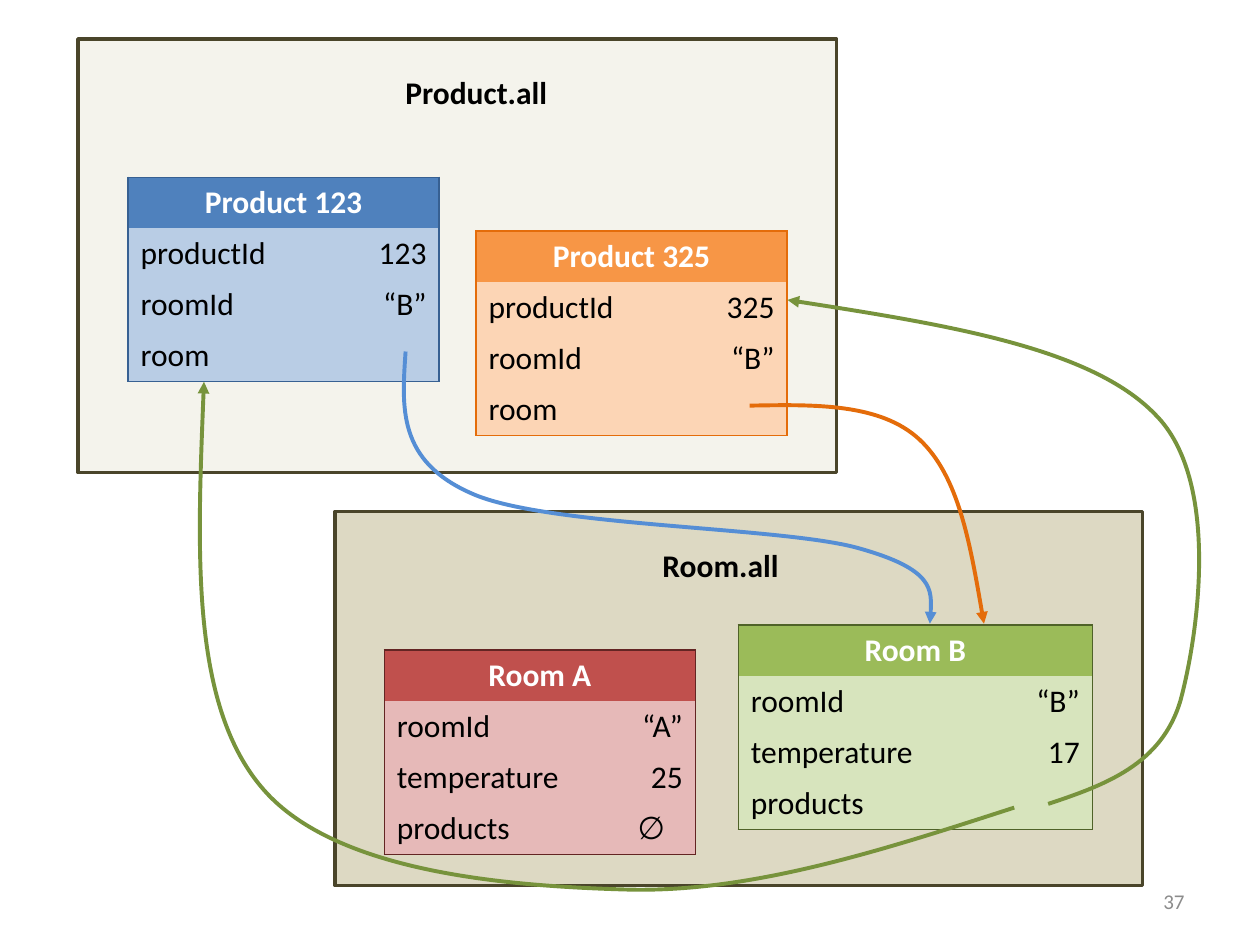
import pptx
import pptx.util
import pptx.dml.color
import pptx.enum.text
import pptx.enum.shapes
import pptx.oxml
import pptx.oxml.ns

Pt = pptx.util.Pt
RGB = pptx.dml.color.RGBColor
Align = pptx.enum.text.PP_ALIGN
Anchor = pptx.enum.text.MSO_ANCHOR
qn = pptx.oxml.ns.qn

BLACK = RGB(0x00, 0x00, 0x00)
WHITE = RGB(0xFF, 0xFF, 0xFF)
GRAY = RGB(0x8C, 0x8C, 0x8C)
EDGE = RGB(0x4A, 0x45, 0x2A)
CREAM = RGB(0xF4, 0xF3, 0xEC)
TAN = RGB(0xDD, 0xD9, 0xC3)
ORANGE = RGB(0xE4, 0x6C, 0x0A)
AZURE = RGB(0x55, 0x8E, 0xD5)
OLIVE = RGB(0x77, 0x93, 0x3C)

# Header fill, body fill, border
RED_SET = RGB(0xC0, 0x50, 0x4D), RGB(0xE6, 0xB9, 0xB8), RGB(0x63, 0x25, 0x23)
GREEN_SET = RGB(0x9B, 0xBB, 0x59), RGB(0xD7, 0xE4, 0xBD), RGB(0x4F, 0x62, 0x28)
BLUE_SET = RGB(0x4F, 0x81, 0xBD), RGB(0xB9, 0xCD, 0xE5), RGB(0x37, 0x60, 0x92)
ORANGE_SET = RGB(0xF7, 0x96, 0x46), RGB(0xFC, 0xD5, 0xB5), ORANGE

FONT = "Calibri"
ROW = 29.2
PLAIN = "{2D5ABB26-0587-4C30-8999-92F81FD0307C}"  # no style, no grid

# Each group: frame box, fill, title, title box, then its objects
# Each object: name, left, top, column widths, colours, fields
GROUPS = [
    ((191.5, 292.3, 461.5, 213.8), TAN, "Room.all", (371.5, 308.2, 81.4, 29),
     [("Room A", 219.6, 371.5, (127.4, 50.4), RED_SET,
       [("roomId", "“A”"), ("temperature", "25"), ("products", "∅")]),
      ("Room B", 421.9, 357.1, (118.1, 84.2), GREEN_SET,
       [("roomId", "“B”"), ("temperature", "17"), ("products", "")])]),
    ((44.6, 22.3, 433.4, 247.7), CREAM, "Product.all", (224.6, 38.2, 95.8, 29),
     [("Product 123", 73.2, 101.3, (127.4, 50.4), BLUE_SET,
       [("productId", "123"), ("roomId", "“B”"), ("room", "")]),
      ("Product 325", 272, 132, (127.4, 50.4), ORANGE_SET,
       [("productId", "325"), ("roomId", "“B”"), ("room", "")])]),
]

# Curved arrows: start, then three Bezier points per piece
CURVES = [
    (ORANGE, [(428.4, 231.8), (465.8, 231.1), (503.3, 230.4), (525.6, 251.3),
              (547.9, 272.2), (555.1, 314.6), (562.3, 356.4)]),
    (AZURE, [(231.8, 200.9), (229.7, 232.6), (226.8, 263.5), (270, 282.2),
             (312.5, 301), (446.4, 301), (490.3, 313.2),
             (534.2, 325.4), (532.8, 341.3), (531.4, 356.4)]),
    (OLIVE, [(579.6, 461.5), (504, 486), (428.4, 510.5), (357.1, 508.3),
             (285.1, 506.2), (188.6, 497.5), (149, 449.3),
             (108.7, 401), (113, 309.6), (116.6, 218.2)]),
    (OLIVE, [(599, 459.4), (631.4, 448.6), (663.8, 437), (674.6, 400.3),
             (684.7, 362.9), (697.7, 274.3), (660.2, 236.9),
             (623.5, 198.7), (537.1, 185), (450, 171.4)]),
]

deck = pptx.Presentation()
deck.slide_width, deck.slide_height = Pt(720), Pt(540)
slide = deck.slides.add_slide(deck.slide_layouts[6])
shapes = slide.shapes


def write(frame, text, size, color, bold=False, align=Align.LEFT):
    para = frame.paragraphs[0]
    para.alignment = align
    para.font.size = Pt(size)
    if text:
        run = para.add_run()
        run.text = text
        font = run.font
        font.name, font.size, font.bold = FONT, Pt(size), bold
        font.color.rgb = color


def label(box, text, size, color, **style):
    frame = shapes.add_textbox(*map(Pt, box)).text_frame
    write(frame, text, size, color, **style)
    return frame


def panel(box, fill):
    rect = shapes.add_shape(pptx.enum.shapes.MSO_SHAPE.RECTANGLE, *map(Pt, box))
    rect.shadow.inherit = False
    rect.fill.solid()
    rect.fill.fore_color.rgb = fill
    rect.line.color.rgb = EDGE
    rect.line.width = Pt(2)


def border(cell, sides, color):
    props = cell._tc.get_or_add_tcPr()
    for spot, side in enumerate(sides):
        props.insert(spot, pptx.oxml.parse_xml(
            f'<a:ln{side} {pptx.oxml.ns.nsdecls("a")} w="12700"><a:solidFill>'
            f'<a:srgbClr val="{color}"/></a:solidFill></a:ln{side}>'))


def record(name, left, top, widths, colors, fields):
    head, body, edge = colors
    rows = [(name, "")] + fields
    last = len(rows) - 1
    table = shapes.add_table(len(rows), 2, Pt(left), Pt(top),
                             Pt(sum(widths)), Pt(ROW * len(rows))).table
    table.first_row = table.horz_banding = False
    table._tbl.tblPr.find(qn("a:tableStyleId")).text = PLAIN
    for col, width in zip(table.columns, widths):
        col.width = Pt(width)
    table.cell(0, 0).merge(table.cell(0, 1))
    for r, row in enumerate(rows):
        table.rows[r].height = Pt(ROW)
        for c, text in enumerate(row):
            cell = table.cell(r, c)
            cell.fill.solid()
            cell.fill.fore_color.rgb = body if r else head
            if r == 0 or text == "∅":
                align = Align.CENTER
            else:
                align = Align.RIGHT if c else Align.LEFT
            write(cell.text_frame, text, 18, BLACK if r else WHITE, r == 0, align)
            sides = [side for side, on in (("L", c == 0), ("R", c == 1 or r == 0),
                                           ("T", r == 0), ("B", r == last)) if on]
            border(cell, sides, edge)


def curve(color, points):
    start, *rest = [(Pt(x), Pt(y)) for x, y in points]
    pen = shapes.build_freeform(*start)
    pen.add_line_segments(rest, close=False)
    line = pen.convert_to_shape()
    line.shadow.inherit = False
    line.fill.background()
    line.line.color.rgb = color
    line.line.width = Pt(2.25)
    # Turn each three straight steps into one Bezier piece
    track = next(line._element.iter(qn("a:path")))
    steps = track.findall(qn("a:lnTo"))
    for i in range(0, len(steps), 3):
        bend = track.makeelement(qn("a:cubicBezTo"), {})
        track.append(bend)
        for step in steps[i:i + 3]:
            bend.append(step[0])
            track.remove(step)
    line.line._get_or_add_ln().append(pptx.oxml.parse_xml(
        f'<a:tailEnd {pptx.oxml.ns.nsdecls("a")} type="triangle"/>'))


# Slide number
number = label((516.2, 500.4, 167.8, 28.8), "37", 12, GRAY, align=Align.RIGHT)
number.word_wrap = True
number.vertical_anchor = Anchor.MIDDLE

# Frames with their titles and object tables
for box, fill, title, spot, items in GROUPS:
    panel(box, fill)
    frame = label(spot, title, 18, BLACK, bold=True)
    frame.word_wrap = False
    frame.auto_size = pptx.enum.text.MSO_AUTO_SIZE.SHAPE_TO_FIT_TEXT
    for item in items:
        record(*item)

# References between objects
for color, points in CURVES:
    curve(color, points)

deck.save("out.pptx")
